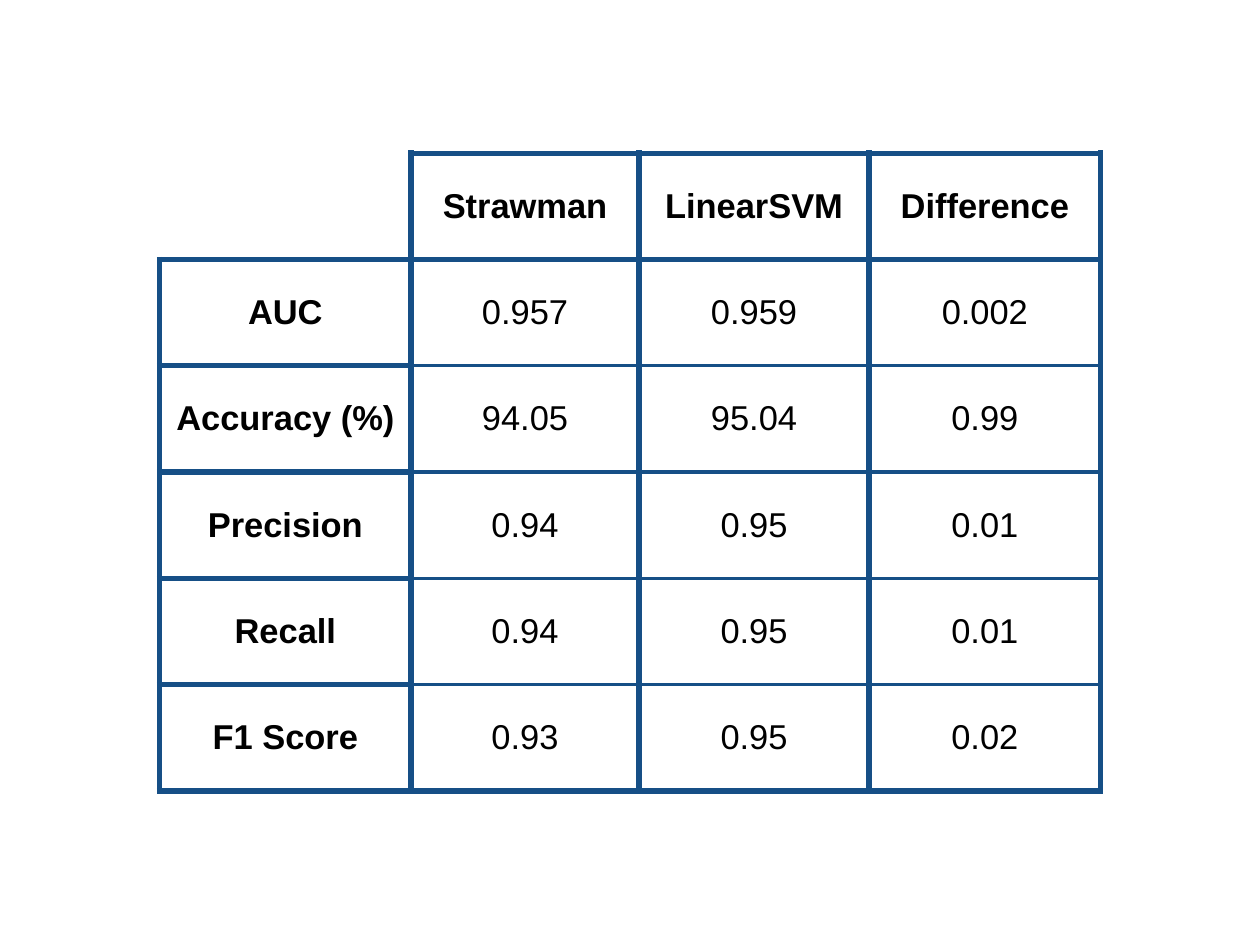
import pptx
import pptx.util
import pptx.dml.color
import pptx.enum.text
import lxml.etree

hues = {"line": "164F86", "text": "000000", "fill": "FFFFFF"}
wide, high = 14.22, 10.67
inch = pptx.util.Inches
rgb = pptx.dml.color.RGBColor.from_string
space = "{http://schemas.openxmlformats.org/drawingml/2006/main}"

data = [
    ["", "Strawman", "LinearSVM", "Difference"],
    ["AUC", "0.957", "0.959", "0.002"],
    ["Accuracy (%)", "94.05", "95.04", "0.99"],
    ["Precision", "0.94", "0.95", "0.01"],
    ["Recall", "0.94", "0.95", "0.01"],
    ["F1 Score", "0.93", "0.95", "0.02"],
]
spans = [2.84, 2.57, 2.6, 2.61]
step = 1.2


def write(cell, text, size=28, bold=False, font="Arial", hue="text"):
    cell.vertical_anchor = pptx.enum.text.MSO_ANCHOR.MIDDLE
    cell.margin_left = cell.margin_right = inch(0.06)
    cell.margin_top = cell.margin_bottom = inch(0.06)
    line = cell.text_frame.paragraphs[0]
    line.alignment = pptx.enum.text.PP_ALIGN.CENTER
    line.font.size = pptx.util.Pt(size)
    if text:
        run = line.add_run()
        run.text = text
        run.font.size = pptx.util.Pt(size)
        run.font.bold = bold
        run.font.name = font
        run.font.color.rgb = rgb(hues[hue])


def edge(cell, side, width):
    props = cell._tc.get_or_add_tcPr()
    rule = lxml.etree.SubElement(props, space + "ln" + side)
    rule.set("w", str(pptx.util.Pt(width)))
    if width:
        solid = lxml.etree.SubElement(rule, space + "solidFill")
        lxml.etree.SubElement(solid, space + "srgbClr", val=hues["line"])
    else:
        lxml.etree.SubElement(rule, space + "noFill")


deck = pptx.Presentation()
deck.slide_width = inch(wide)
deck.slide_height = inch(high)
slide = deck.slides.add_slide(deck.slide_layouts[6])

rows, cols = len(data), len(spans)
frame = slide.shapes.add_table(
    rows, cols, inch(1.8), inch(1.73), inch(sum(spans)), inch(step * rows)
)
grid = frame.table
grid.first_row = False
grid.horz_banding = False
for col, span in zip(grid.columns, spans):
    col.width = inch(span)
for row in grid.rows:
    row.height = inch(step)

for r, row in enumerate(data):
    for c, text in enumerate(row):
        cell = grid.cell(r, c)
        head = r == 0 or c == 0
        write(cell, text, bold=head)
        blank = r == 0 and c == 0
        outer = 0 if blank else 5
        top = outer if head or r == 1 else 3
        base = 5 if head or r == rows - 1 else 3
        for side, width in zip("LRTB", (outer, 5, top, base)):
            edge(cell, side, width)
        cell.fill.solid()
        cell.fill.fore_color.rgb = rgb(hues["fill"])

deck.save("out.pptx")
